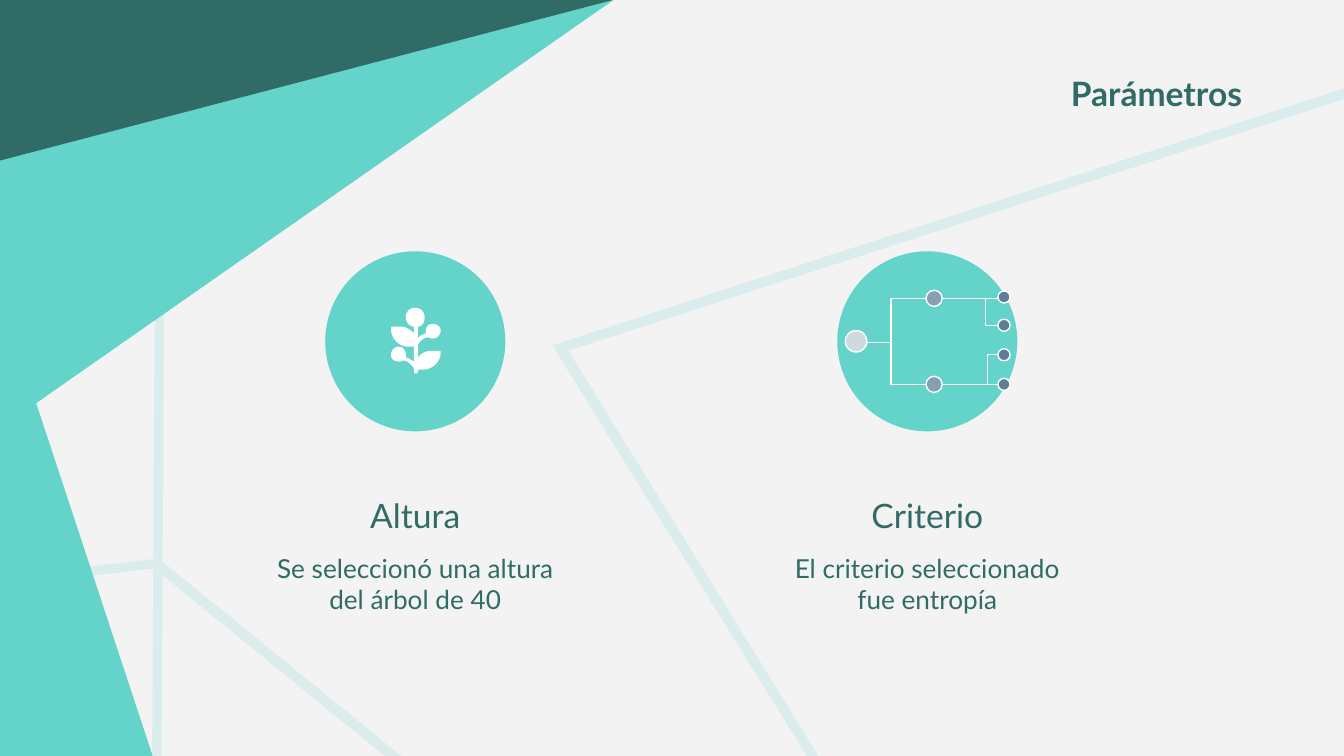
from lxml import etree
from pptx import Presentation
from pptx.dml.color import RGBColor
from pptx.enum.shapes import MSO_CONNECTOR as CONN, MSO_SHAPE as SHAPE
from pptx.enum.text import MSO_ANCHOR as ANCHOR, PP_ALIGN as ALIGN
from pptx.oxml.ns import qn
from pptx.util import Inches, Pt

TEAL = RGBColor(0x64, 0xD3, 0xCA)
DARK = RGBColor(0x30, 0x6B, 0x66)
PAPER = RGBColor(0xF3, 0xF3, 0xF3)
WHITE = RGBColor(0xFF, 0xFF, 0xFF)
ROOT = RGBColor(0xCF, 0xD9, 0xE0)
BRANCH = RGBColor(0x86, 0x9F, 0xB2)
LEAF = RGBColor(0x5F, 0x7D, 0x95)

# Background outlines, in inches
RAY = [(6.34, 6.17), (6.4, 6.13), (4.23, 2.61), (10.92, 0.44), (10.89, 0.37), (4.11, 2.57)]
FORK = [(4.81, 7.11), (1.21, 4.18), (1.24, -1.23), (1.17, -1.25), (1.14, 4.16), (-1.41, 4.46),
        (-1.41, 4.53), (1.14, 4.23), (1.13, 5.92), (1.2, 5.92), (1.21, 4.28), (4.76, 7.17)]
TEAL_CORNER = [(1.26, 6), (0.27, 3), (4.58, -0.01), (-0.47, -1.1), (-1.85, 5.34)]
DARK_CORNER = [(-1.05, 1.47), (4.6, -0.01), (-0.5, -1.1)]

# Plant outline: two numbers make a line, six make a cubic curve
PLANT = [
    (3.09, 2.29), (3.05, 2.29, 3.02, 2.32, 3.02, 2.36), (3.02, 2.4, 3.05, 2.43, 3.08, 2.43),
    (3.08, 2.48), (3.05, 2.45, 3.02, 2.43, 2.98, 2.43), (2.92, 2.43),
    (2.91, 2.43, 2.91, 2.44, 2.91, 2.45), (2.91, 2.52, 2.97, 2.58, 3.04, 2.58), (3.08, 2.58),
    (3.08, 2.69), (3.06, 2.68, 3.04, 2.66, 3.02, 2.66), (3.02, 2.65, 3.02, 2.64, 3.02, 2.64),
    (3.02, 2.61, 3, 2.58, 2.97, 2.58), (2.93, 2.58, 2.91, 2.61, 2.91, 2.64),
    (2.91, 2.67, 2.93, 2.69, 2.97, 2.69), (2.98, 2.69, 2.99, 2.69, 3, 2.68),
    (3.04, 2.69, 3.06, 2.71, 3.08, 2.74), (3.08, 2.77), (3.08, 2.77, 3.09, 2.78, 3.09, 2.78),
    (3.1, 2.78, 3.11, 2.77, 3.11, 2.77), (3.11, 2.75), (3.15, 2.75),
    (3.22, 2.75, 3.28, 2.69, 3.28, 2.62), (3.28, 2.61, 3.27, 2.61, 3.26, 2.61), (3.21, 2.61),
    (3.17, 2.61, 3.13, 2.63, 3.11, 2.66), (3.11, 2.57), (3.12, 2.54, 3.15, 2.51, 3.19, 2.51),
    (3.19, 2.51, 3.21, 2.52, 3.22, 2.52), (3.25, 2.52, 3.28, 2.49, 3.28, 2.46),
    (3.28, 2.43, 3.25, 2.41, 3.22, 2.41), (3.19, 2.41, 3.17, 2.43, 3.17, 2.46),
    (3.17, 2.47, 3.17, 2.48, 3.17, 2.48), (3.14, 2.49, 3.12, 2.5, 3.11, 2.52), (3.11, 2.43),
    (3.14, 2.43, 3.16, 2.4, 3.16, 2.36), (3.16, 2.32, 3.13, 2.29, 3.09, 2.29)]

# Tree icon: edges as (x1, y1, x2, y2), nodes as (cx, cy, diameter, colour)
EDGES = [(7.23, 2.86, 7.47, 2.64), (7.23, 2.22, 7.44, 2.42), (6.99, 2.22, 7.44, 2.22),
         (6.36, 2.55, 6.9, 2.22), (6.36, 2.55, 6.9, 2.86), (6.99, 2.86, 7.44, 2.86)]
NODES = [(6.37, 2.54, 0.16, ROOT)]
NODES += [(6.95, y, 0.12, BRANCH) for y in (2.22, 2.86)]
NODES += [(7.47, y, 0.09, LEAF) for y in (2.21, 2.42, 2.64, 2.86)]

# Centre x, heading, description
COLUMNS = [(3.09, "Altura", "Se seleccionó una altura del árbol de 40"),
           (6.9, "Criterio", "El criterio seleccionado fue entropía")]


def flatten(path, steps=8):
    """Turn lines and cubic curves into a plain list of points."""
    points = [path[0]]
    for seg in path[1:]:
        if len(seg) == 2:
            points.append(seg)
            continue
        ctrl = [points[-1], seg[:2], seg[2:4], seg[4:]]
        for i in range(1, steps + 1):
            t = i / steps
            weights = ((1 - t) ** 3, 3 * t * (1 - t) ** 2, 3 * t * t * (1 - t), t ** 3)
            points.append(tuple(sum(w * c[axis] for w, c in zip(weights, ctrl))
                                for axis in (0, 1)))
    return points


def paint(sp, color, line=None):
    sp.shadow.inherit = False
    sp.fill.solid()
    sp.fill.fore_color.rgb = color
    if line is None:
        sp.line.fill.background()
    else:
        sp.line.color.rgb = line
        sp.line.width = Pt(0.75)


def add_outline(s, points, color, opacity=None):
    pts = [(Inches(x), Inches(y)) for x, y in points]
    builder = s.shapes.build_freeform(*pts[0])
    builder.add_line_segments(pts[1:], close=True)
    sp = builder.convert_to_shape()
    paint(sp, color)
    if opacity is not None:
        clr = sp._element.spPr.find(qn("a:solidFill"))[0]
        etree.SubElement(clr, qn("a:alpha"), val=str(opacity * 1000))


def add_circle(s, cx, cy, size, color, line=None):
    sp = s.shapes.add_shape(SHAPE.OVAL, Inches(cx - size / 2), Inches(cy - size / 2),
                            Inches(size), Inches(size))
    paint(sp, color, line)


def add_edge(s, *ends):
    cn = s.shapes.add_connector(CONN.ELBOW, *(Inches(v) for v in ends))
    cn.line.color.rgb = WHITE
    cn.line.width = Pt(0.75)
    etree.SubElement(cn._element.spPr, qn("a:effectLst"))


def add_text(s, box, text, size, align=ALIGN.CENTER, anchor=ANCHOR.TOP, bold=False):
    tf = s.shapes.add_textbox(*(Inches(v) for v in box)).text_frame
    tf.word_wrap = True
    tf.vertical_anchor = anchor
    tf.margin_left = tf.margin_right = tf.margin_top = tf.margin_bottom = Inches(0.1)
    p = tf.paragraphs[0]
    p.text = text
    p.alignment = align
    p.font.name = "Lato"
    p.font.size = Pt(size)
    p.font.bold = bold
    p.font.color.rgb = DARK


def main():
    prs = Presentation()
    prs.slide_width = Inches(10)
    prs.slide_height = prs.slide_width * 9 // 16
    s = prs.slides.add_slide(prs.slide_layouts[6])
    s.background.fill.solid()
    s.background.fill.fore_color.rgb = PAPER

    # Background
    for points in (RAY, FORK):
        add_outline(s, points, TEAL, opacity=17)
    add_outline(s, TEAL_CORNER, TEAL)
    add_outline(s, DARK_CORNER, DARK)

    # Title and columns
    add_text(s, (0.42, 0.44, 8.92, 0.63), "Parámetros", 18, ALIGN.RIGHT, bold=True)
    for cx, heading, description in COLUMNS:
        add_circle(s, cx, 2.54, 1.34, TEAL)
        add_text(s, (cx - 1.25, 3.61, 2.5, 0.47), heading, 18, anchor=ANCHOR.BOTTOM)
        add_text(s, (cx - 1.24, 4.01, 2.48, 0.88), description, 14)

    # Icons
    add_outline(s, flatten(PLANT), WHITE)
    for edge in EDGES:
        add_edge(s, *edge)
    for node in NODES:
        add_circle(s, *node, line=WHITE)

    prs.save("out.pptx")


if __name__ == "__main__":
    main()
